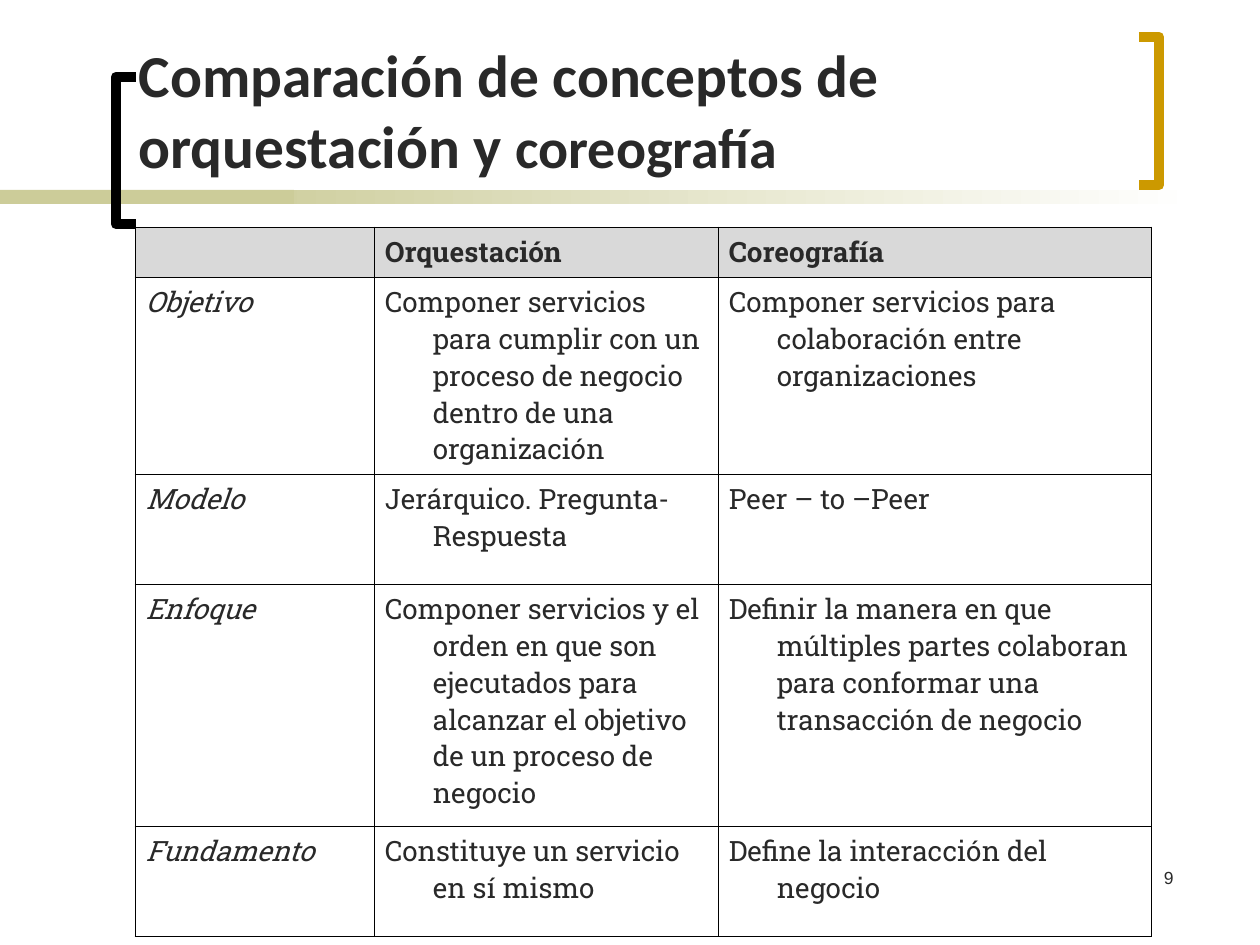
from lxml import etree
from pptx import Presentation, util as u
from pptx.dml.color import RGBColor
from pptx.enum import shapes, text
from pptx.oxml import ns

PX = 914400 // 126
INK = "292929"
KHAKI = "CCCC99"

COLUMNS = (239, 344, 433)
ROW_HEIGHTS = (49, 197, 110, 242, 110)
ROWS = (
    ("", "Orquestación", "Coreografía"),
    ("Objetivo",
     "Componer servicios para cumplir con un proceso de negocio dentro de una organización",
     "Componer servicios para colaboración entre organizaciones"),
    ("Modelo", "Jerárquico. Pregunta-Respuesta", "Peer – to –Peer"),
    ("Enfoque",
     "Componer servicios y el orden en que son ejecutados para alcanzar el objetivo "
     "de un proceso de negocio",
     "Definir la manera en que múltiples partes colaboran para conformar una "
     "transacción de negocio"),
    ("Fundamento", "Constituye un servicio en sí mismo", "Define la interacción del negocio"),
)


def px(*lengths):
    return [u.Emu(length * PX) for length in lengths]


def color(value):
    return RGBColor.from_string(value)


def add_span(para, words, font, size, bold=False, italic=False):
    span = para.add_run()
    span.text = words
    span.font.name = font
    span.font.size = u.Pt(size)
    span.font.bold = bold
    span.font.italic = italic
    span.font.color.rgb = color(INK)


def add_bar(page, box):
    bar = page.shapes.add_shape(shapes.MSO_SHAPE.RECTANGLE, *px(*box))
    bar.shadow.inherit = False
    bar.line.fill.background()
    return bar.fill


def add_rule(page, left, top, height):
    """Draw the band under the title: a plain part, then one fading to white."""
    fade = add_bar(page, (left + 199, top, 998, height))
    fade.gradient()
    fade.gradient_angle = 0
    for stop, value in zip(fade.gradient_stops, (KHAKI, "FFFFFF")):
        stop.color.rgb = color(value)
    plain = add_bar(page, (left, top, 294, height))
    plain.solid()
    plain.fore_color.rgb = color(KHAKI)


def add_bracket(page, box, value, opens_right):
    left, top, width, height = box
    tips, spine = (left + width, left) if opens_right else (left, left + width)
    bottom = top + height
    builder = page.shapes.build_freeform(tips, top, scale=PX)
    builder.add_line_segments([(spine, top), (spine, bottom), (tips, bottom)], close=False)
    bracket = builder.convert_to_shape()
    bracket.shadow.inherit = False
    bracket.fill.background()
    bracket.line.color.rgb = color(value)
    bracket.line.width = u.Pt(6)


def place_title(page, box):
    title = page.shapes.title
    title.left, title.top, title.width, title.height = px(*box)
    frame = title.text_frame
    frame.word_wrap = True
    frame.auto_size = text.MSO_AUTO_SIZE.NONE
    frame.vertical_anchor = text.MSO_ANCHOR.BOTTOM
    para = frame.paragraphs[0]
    para.alignment = text.PP_ALIGN.LEFT
    add_span(para, "Comparación de conceptos de orquestación y ", "Calibri", 34, bold=True)
    add_span(para, "coreografía", "Calibri", 32, bold=True)


def add_page_number(page, box):
    frame = page.shapes.add_textbox(*px(*box)).text_frame
    frame.word_wrap = True
    para = frame.paragraphs[0]
    para.alignment = text.PP_ALIGN.RIGHT
    add_span(para, "9", "Arial", 10)


def add_borders(cell):
    properties = cell._tc.get_or_add_tcPr()
    for side, points in (("L", 0.34), ("R", 0.34), ("T", 0.45), ("B", 0.45)):
        line = etree.SubElement(properties, ns.qn(f"a:ln{side}"), w=str(u.Pt(points)))
        fill = etree.SubElement(line, ns.qn("a:solidFill"))
        etree.SubElement(fill, ns.qn("a:srgbClr"), val="000000")


def fill_cell(cell, words, is_header, is_label):
    cell.margin_left = cell.margin_right = px(11)[0]
    cell.margin_top = cell.margin_bottom = u.Inches(0.05)
    add_borders(cell)
    if is_header:
        cell.fill.solid()
        cell.fill.fore_color.rgb = color("D9D9D9")
    else:
        cell.fill.background()
    para = cell.text_frame.paragraphs[0]
    indent = px(48)[0]
    properties = para._p.get_or_add_pPr()
    properties.set("marL", str(indent))
    properties.set("indent", str(-indent))
    add_span(para, words, "Roboto Slab", 16, bold=is_header, italic=is_label)


def add_comparison(page, left, top):
    box = px(left, top, sum(COLUMNS), sum(ROW_HEIGHTS))
    table = page.shapes.add_table(len(ROWS), len(COLUMNS), *box).table
    table.first_row = table.horz_banding = False
    for column, width in zip(table.columns, px(*COLUMNS)):
        column.width = width
    for row, height in zip(table.rows, px(*ROW_HEIGHTS)):
        row.height = height
    for r, row in enumerate(ROWS):
        for c, words in enumerate(row):
            fill_cell(table.cell(r, c), words, is_header=r == 0, is_label=r > 0 and c == 0)


def main():
    deck = Presentation()
    deck.slide_width, deck.slide_height = px(1260, 945)
    page = deck.slides.add_slide(deck.slide_layouts[5])
    add_rule(page, 0, 190, 14)
    add_bracket(page, (116, 77, 20, 147), "000000", opens_right=True)
    add_bracket(page, (1139, 37, 20, 148), "CC9900", opens_right=False)
    place_title(page, (126, 118, 937, 69))
    add_page_number(page, (924, 861, 262, 63))
    add_comparison(page, 135, 227)
    deck.save("out.pptx")


if __name__ == "__main__":
    main()
